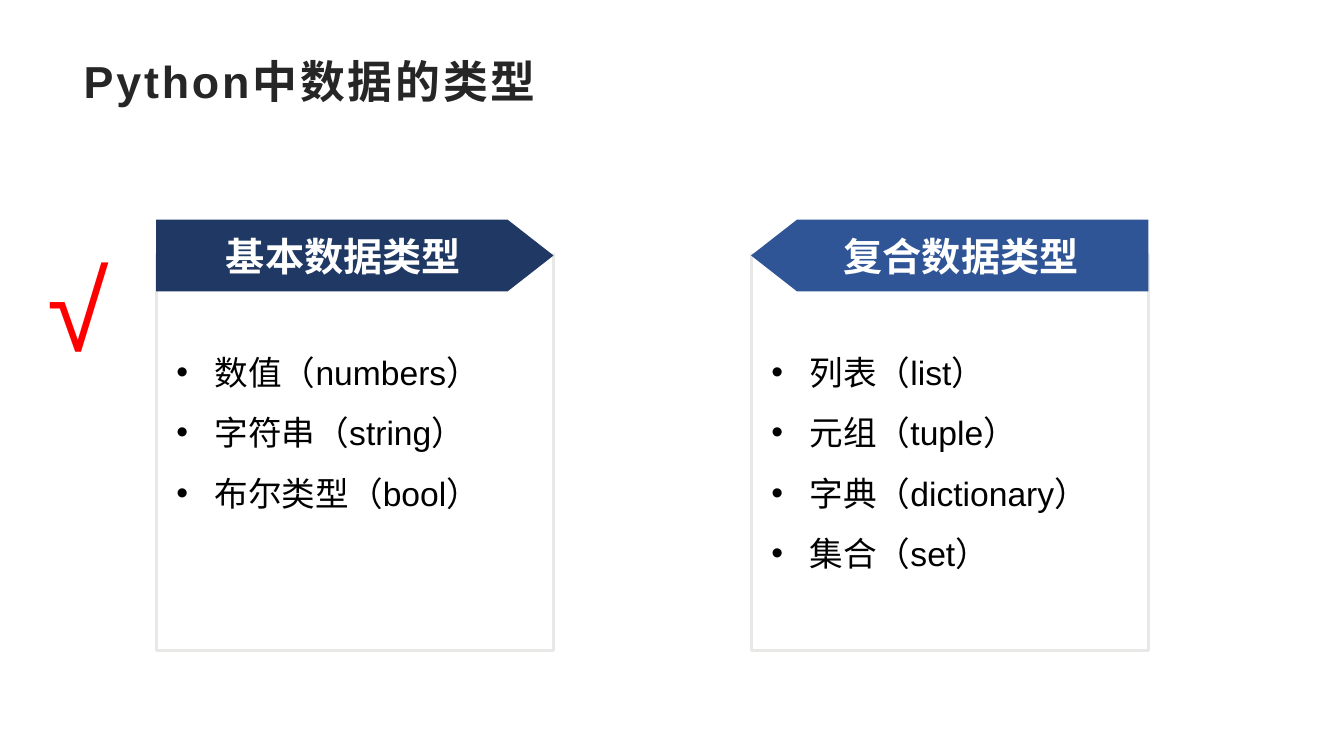
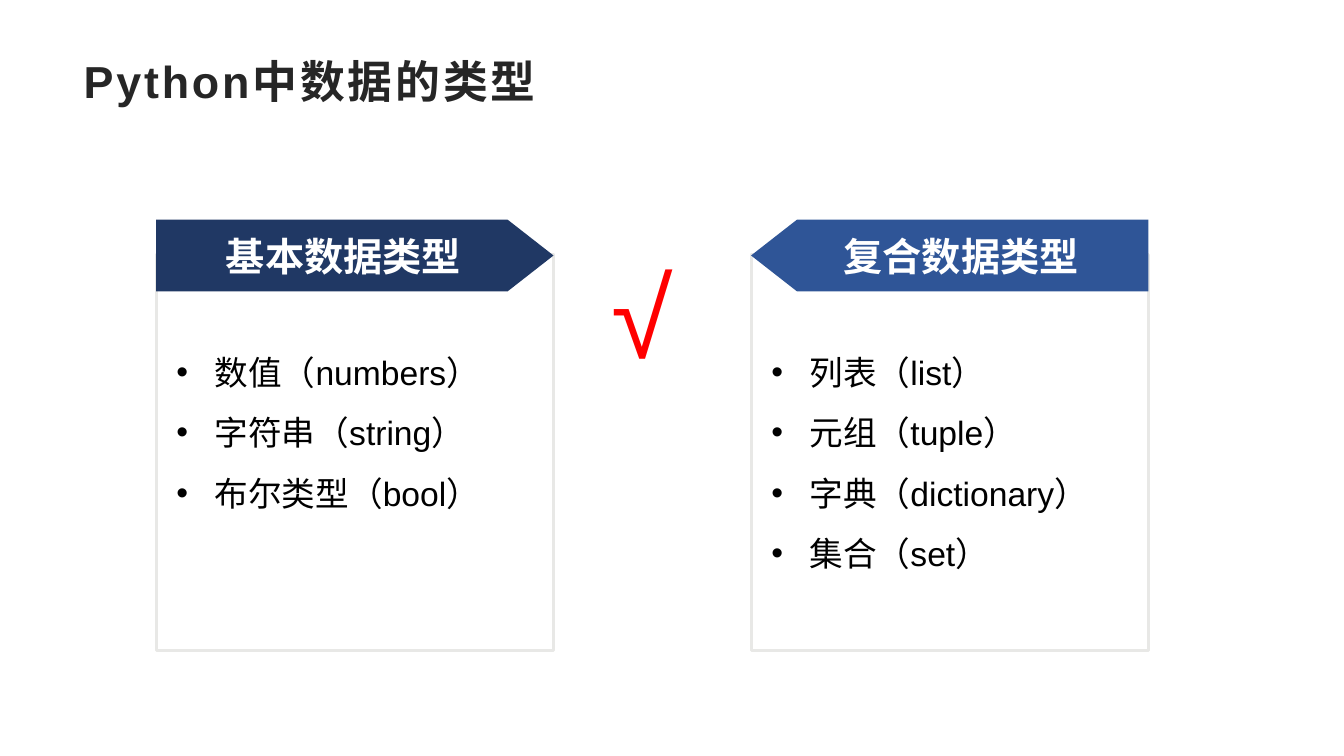
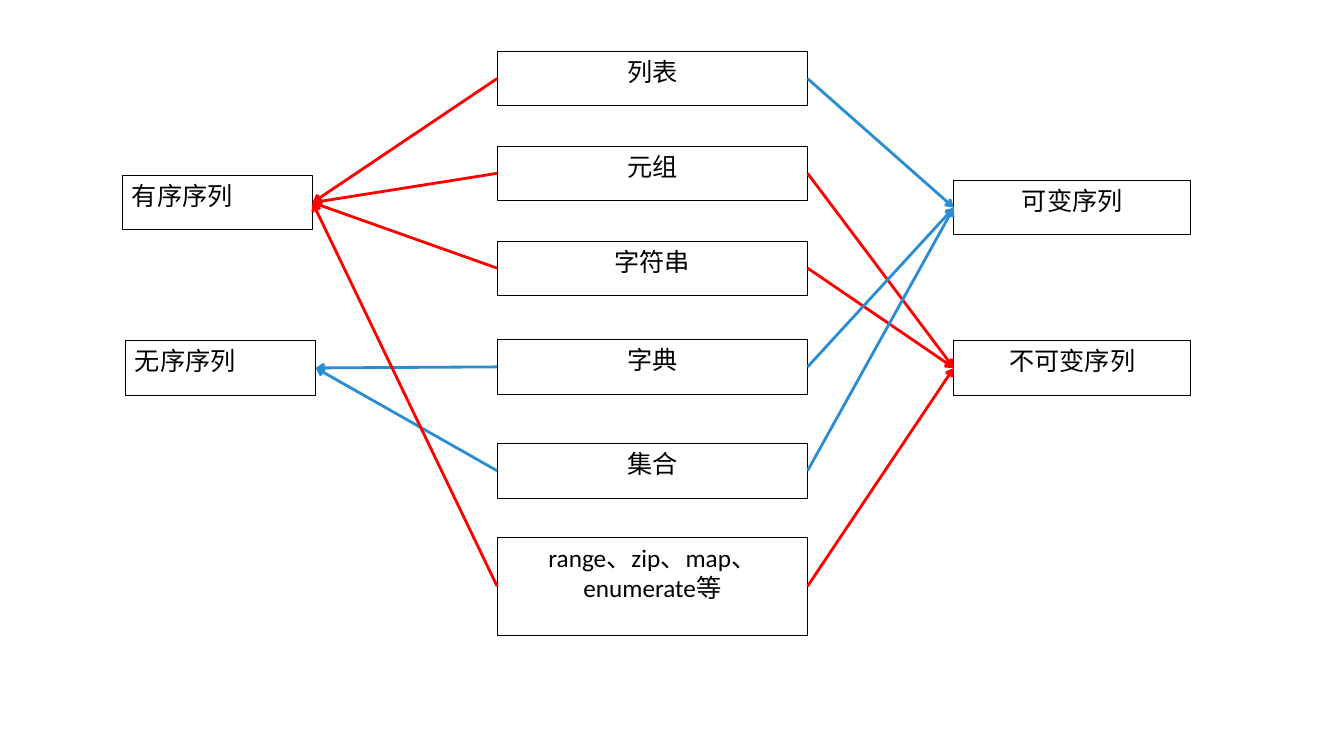
from lxml import etree
from pptx import Presentation
from pptx import util as u
from pptx.dml.color import RGBColor
from pptx.enum import shapes, text
from pptx.oxml.ns import qn

SLIDE_WIDTH, SLIDE_HEIGHT = 13.33, 7.5
WHITE = RGBColor(0xFF, 0xFF, 0xFF)
BLACK = RGBColor(0, 0, 0)
INK = RGBColor(0x26, 0x26, 0x26)
PANEL_EDGE = RGBColor(0xE8, 0xE8, 0xE6)
NAVY = RGBColor(0x20, 0x38, 0x64)
BLUE = RGBColor(0x2F, 0x55, 0x97)
RED = RGBColor(0xFF, 0, 0)
SKY = RGBColor(0x2A, 0x8D, 0xD4)
BODY_FONT, BANNER_FONT, BOX_FONT = "Arial", "Noto Sans CJK SC", "Calibri"

TITLE = "Python中数据的类型"
PANEL_COLUMNS = (1.55, 7.45)
PANEL_TOP, PANEL_WIDTH, PANEL_HEIGHT = 2.53, 3.94, 3.92
BANNER_TOP, BANNER_HEIGHT = 2.18, 0.71
LIST_INSET, LIST_INDENT = 0.76, 0.38
PANELS = (
    ("基本数据类型", NAVY, ("数值（numbers）", "字符串（string）", "布尔类型（bool）")),
    ("复合数据类型", BLUE,
     ("列表（list）", "元组（tuple）", "字典（dictionary）", "集合（set）")),
)
CHECK_POSITIONS = ((0.37, 2.33), (5.97, 2.4))

BOX_HEIGHT = 0.54
LEFT_SITE, RIGHT_SITE = 1, 3
ORDERED, UNORDERED = "有序序列", "无序序列"
MUTABLE, IMMUTABLE = "可变序列", "不可变序列"
# label: left, top, width, alignment, arrow colour
CATEGORIES = {
    ORDERED: (1.21, 1.74, 1.89, text.PP_ALIGN.JUSTIFY, RED),
    UNORDERED: (1.24, 3.38, 1.89, text.PP_ALIGN.JUSTIFY, SKY),
    MUTABLE: (9.46, 1.79, 2.35, text.PP_ALIGN.CENTER, SKY),
    IMMUTABLE: (9.46, 3.38, 2.35, text.PP_ALIGN.CENTER, RED),
}
TYPE_LEFT, TYPE_WIDTH = 4.93, 3.08
# label, top, height, category on the left, category on the right
TYPES = (
    ("列表", 0.51, BOX_HEIGHT, ORDERED, MUTABLE),
    ("元组", 1.45, BOX_HEIGHT, ORDERED, IMMUTABLE),
    ("字符串", 2.39, BOX_HEIGHT, ORDERED, IMMUTABLE),
    ("字典", 3.37, BOX_HEIGHT, UNORDERED, MUTABLE),
    ("集合", 4.4, BOX_HEIGHT, UNORDERED, MUTABLE),
    ("range、zip、map、enumerate等", 5.33, 0.97, ORDERED, IMMUTABLE),
)


def inches(*lengths):
    return [u.Inches(length) for length in lengths]


def add_run(paragraph, words, font_name, size, color, bold=False, spacing=0):
    """Add one run, using the same font for Latin and Chinese characters."""
    run = paragraph.add_run()
    run.text = words
    run.font.name = font_name
    run.font.size = u.Pt(size)
    run.font.bold = bold
    run.font.color.rgb = color
    properties = run.font._element
    properties.set("lang", "zh-CN")
    if spacing:
        properties.set("spc", str(spacing * 100))
    etree.SubElement(properties, qn("a:ea")).set("typeface", font_name)


def set_frame(shape, anchor, margins=(0.1, 0.05, 0.1, 0.05), wrap=True):
    frame = shape.text_frame
    frame.auto_size = text.MSO_AUTO_SIZE.NONE
    frame.word_wrap = wrap
    frame.vertical_anchor = anchor
    (frame.margin_left, frame.margin_top,
     frame.margin_right, frame.margin_bottom) = inches(*margins)
    return frame


def place(shape, left, top, width, height):
    shape.left, shape.top, shape.width, shape.height = inches(left, top, width, height)


def paint(shape, fill, edge=None, edge_width=0):
    shape.fill.solid()
    shape.fill.fore_color.rgb = fill
    if edge is None:
        shape.line.fill.background()
    else:
        shape.line.color.rgb = edge
        shape.line.width = u.Pt(edge_width)


def add_preset(slide, preset, left, top, width, height):
    shape = slide.shapes.add_shape(preset, *inches(left, top, width, height))
    shape.shadow.inherit = False
    return shape


def set_title(slide, words):
    title = slide.shapes.title
    place(title, 0.73, 0.48, 11.87, 0.78)
    paragraph = set_frame(title, text.MSO_ANCHOR.TOP).paragraphs[0]
    paragraph.alignment = text.PP_ALIGN.LEFT
    add_run(paragraph, words, BODY_FONT, 32, INK, bold=True, spacing=2)


def set_bullet(paragraph, indent):
    properties = paragraph._p.get_or_add_pPr()
    properties.set("marL", str(u.Inches(indent)))
    properties.set("indent", str(-u.Inches(indent)))
    etree.SubElement(properties, qn("a:buFont")).set("typeface", BODY_FONT)
    etree.SubElement(properties, qn("a:buChar")).set("char", "•")


def fill_panel(panel, left, items):
    place(panel, left, PANEL_TOP, PANEL_WIDTH, PANEL_HEIGHT)
    paint(panel, WHITE, PANEL_EDGE, 2.25)
    frame = set_frame(panel, text.MSO_ANCHOR.TOP, (0.2, LIST_INSET, 0.2, 0.04))
    for index, item in enumerate(items):
        paragraph = frame.add_paragraph() if index else frame.paragraphs[0]
        set_bullet(paragraph, LIST_INDENT)
        paragraph.line_spacing = 1.5
        paragraph.space_before = u.Pt(0)
        add_run(paragraph, item, BODY_FONT, 24, BLACK)


def add_banner(slide, left, words, color, points_left):
    banner = add_preset(slide, shapes.MSO_SHAPE.PENTAGON,
                        left, BANNER_TOP, PANEL_WIDTH, BANNER_HEIGHT)
    banner.adjustments[0] = 0.64
    paint(banner, color)
    if points_left:
        banner._element.spPr.get_or_add_xfrm().set("flipH", "1")
    frame = set_frame(banner, text.MSO_ANCHOR.MIDDLE, (0.08, 0.04, 0.08, 0.04), wrap=False)
    paragraph = frame.paragraphs[0]
    paragraph.alignment = text.PP_ALIGN.CENTER
    add_run(paragraph, words, BANNER_FONT, 28, WHITE, bold=True)


def add_check_mark(slide, left, top):
    box = slide.shapes.add_textbox(*inches(left, top, 1.39, 1.45))
    frame = set_frame(box, text.MSO_ANCHOR.TOP)
    add_run(frame.paragraphs[0], "√", BODY_FONT, 80, RED)


def add_box(slide, words, left, top, width, height, alignment):
    box = add_preset(slide, shapes.MSO_SHAPE.RECTANGLE, left, top, width, height)
    paint(box, WHITE, BLACK, 0.5)
    paragraph = set_frame(box, text.MSO_ANCHOR.TOP).paragraphs[0]
    paragraph.alignment = alignment
    add_run(paragraph, words, BOX_FONT, 18, BLACK)
    return box


def add_arrow(slide, start, start_site, end, end_site, color):
    arrow = slide.shapes.add_connector(shapes.MSO_CONNECTOR.STRAIGHT, 0, 0, 0, 0)
    arrow.begin_connect(start, start_site)
    arrow.end_connect(end, end_site)
    arrow.line.color.rgb = color
    arrow.line.width = u.Pt(2)
    etree.SubElement(arrow.line._get_or_add_ln(), qn("a:tailEnd")).set("type", "arrow")
    etree.SubElement(arrow._element.spPr, qn("a:effectLst"))


def add_types_slide(presentation, check_position):
    """Two panels of data types, with a check mark beside the current one."""
    slide = presentation.slides.add_slide(presentation.slide_layouts.get_by_name("Two Content"))
    set_title(slide, TITLE)
    for index, (heading, color, items) in enumerate(PANELS):
        left = PANEL_COLUMNS[index]
        fill_panel(slide.placeholders[index + 1], left, items)
        add_banner(slide, left, heading, color, points_left=index == 1)
    add_check_mark(slide, *check_position)


def add_sequences_slide(presentation):
    """Types in the middle, with arrows to the categories on both sides."""
    slide = presentation.slides.add_slide(presentation.slide_layouts.get_by_name("Blank"))
    category_boxes = {
        label: add_box(slide, label, left, top, width, BOX_HEIGHT, alignment)
        for label, (left, top, width, alignment, _) in CATEGORIES.items()
    }
    type_boxes = [
        add_box(slide, label, TYPE_LEFT, top, TYPE_WIDTH, height, text.PP_ALIGN.CENTER)
        for label, top, height, _, _ in TYPES
    ]
    for box, (_, _, _, order, mutability) in zip(type_boxes, TYPES):
        for category, start_site, end_site in ((order, LEFT_SITE, RIGHT_SITE),
                                               (mutability, RIGHT_SITE, LEFT_SITE)):
            color = CATEGORIES[category][-1]
            add_arrow(slide, box, start_site, category_boxes[category], end_site, color)


def main():
    presentation = Presentation()
    presentation.slide_width, presentation.slide_height = inches(SLIDE_WIDTH, SLIDE_HEIGHT)
    for check_position in CHECK_POSITIONS:
        add_types_slide(presentation, check_position)
    add_sequences_slide(presentation)
    presentation.save("out.pptx")


if __name__ == "__main__":
    main()
